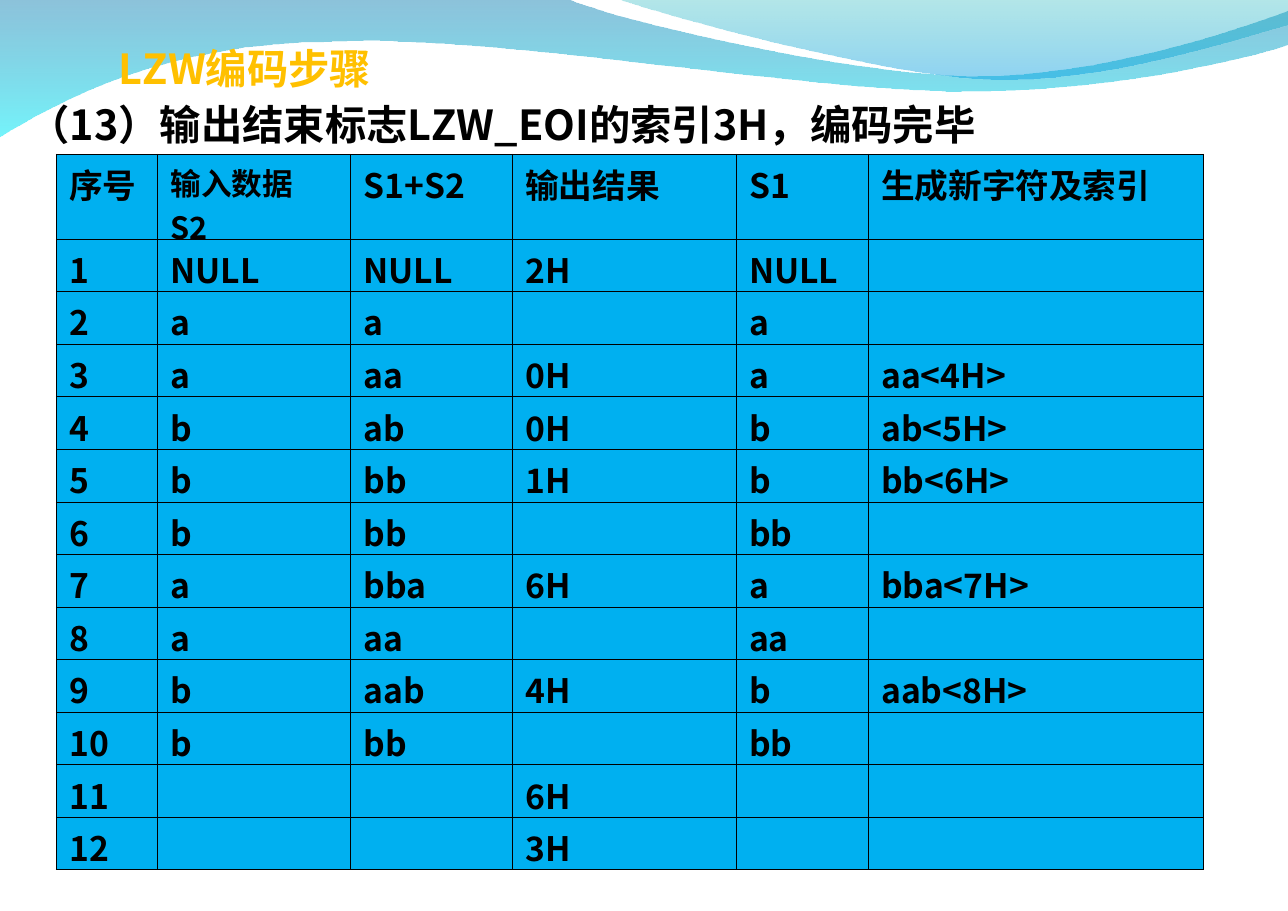
"""Build the slide showing the last LZW encoding step and its table."""
from lxml import etree
from pptx import Presentation
from pptx import util as u
from pptx.dml.color import RGBColor
from pptx.enum import text
from pptx.oxml.ns import qn

FONT = "Noto Sans CJK SC"
BLACK = RGBColor(0x00, 0x00, 0x00)
GOLD = RGBColor(0xFF, 0xC0, 0x00)
CELL_BLUE = RGBColor(0x00, 0xB0, 0xF0)
DEEP_BLUE = RGBColor(0x00, 0x79, 0xAF)
CYAN = RGBColor(0x00, 0xEB, 0xF8)
TEAL = RGBColor(0x00, 0xAD, 0xB6)
SKY = RGBColor(0x00, 0x9B, 0xE5)


def write(holder, words, size=22, color=BLACK, insets=(0.12, 0.05, 0.12, 0.05)):
    (holder.margin_left, holder.margin_top,
     holder.margin_right, holder.margin_bottom) = map(u.Inches, insets)
    span = getattr(holder, "text_frame", holder).paragraphs[0].add_run()
    span.text = words
    span.font.size = u.Pt(size)
    span.font.bold = True
    span.font.name = FONT
    span.font.color.rgb = color
    etree.SubElement(span.font._element, qn("a:ea"), typeface=FONT)


deck = Presentation()
deck.slide_width, deck.slide_height = u.Inches(11.69), u.Inches(8.27)
page = deck.slides.add_slide(deck.slide_layouts[6])

waves = [
    ([[(0, 0)], [(5.15, -0.01)],
      [(5.56, 0.18), (7.76, 0.69), (8.87, 0.69)],
      [(9.98, 0.69), (11.21, 0.28), (11.69, 0.1)],
      [(11.71, 0.4)],
      [(11.5, 0.48), (10.17, 0.84), (8.72, 0.83)],
      [(7.27, 0.83), (4.46, 0.31), (3.01, 0.38)],
      [(1.51, 0.39), (0.54, 0.91), (-0.01, 1.25)]],
     [(DEEP_BLUE, 45), (CYAN, 55)]),
    ([[(5.6, -0.01)],
      [(5.96, 0.12), (7.98, 0.68), (8.99, 0.72)],
      [(10.01, 0.76), (11.24, 0.35), (11.69, 0.23)],
      [(11.69, 0)]],
     [(TEAL, 30), (SKY, 45)]),
]
for segments, stops in waves:
    outline = [(u.Inches(x), u.Inches(y)) for segment in segments for x, y in segment]
    builder = page.shapes.build_freeform(*outline[0])
    builder.add_line_segments(outline[1:], close=True)
    wave = builder.convert_to_shape()
    lines = iter(list(wave._element.iter(qn("a:lnTo"))))
    for segment in segments[1:]:
        pieces = [next(lines) for point in segment]
        if len(pieces) == 3:
            curve = etree.Element(qn("a:cubicBezTo"))
            pieces[0].addprevious(curve)
            for piece in pieces:
                curve.append(piece[0])
                piece.getparent().remove(piece)
    wave.shadow.inherit = False
    wave.line.fill.background()
    wave.fill.gradient()
    wave.fill.gradient_angle = 270
    for stop, (color, opacity) in zip(wave.fill.gradient_stops, stops):
        stop.color.rgb = color
    for tint, (color, opacity) in zip(wave._element.iter(qn("a:srgbClr")), stops):
        etree.SubElement(tint, qn("a:alpha"), val=str(opacity * 1000))

title = page.shapes.add_textbox(u.Inches(0.97), u.Inches(0.08), u.Inches(3.79), u.Inches(0.83))
title.text_frame.word_wrap = True
write(title.text_frame, "LZW编码步骤", size=27, color=GOLD, insets=(0.11, 0.31, 0.11, 0))

rows = [
    ["序号", "输入数据S2", "S1+S2", "输出结果", "S1", "生成新字符及索引"],
    ["1", "NULL", "NULL", "2H", "NULL", ""],
    ["2", "a", "a", "", "a", ""],
    ["3", "a", "aa", "0H", "a", "aa<4H>"],
    ["4", "b", "ab", "0H", "b", "ab<5H>"],
    ["5", "b", "bb", "1H", "b", "bb<6H>"],
    ["6", "b", "bb", "", "bb", ""],
    ["7", "a", "bba", "6H", "a", "bba<7H>"],
    ["8", "a", "aa", "", "aa", ""],
    ["9", "b", "aab", "4H", "b", "aab<8H>"],
    ["10", "b", "bb", "", "bb", ""],
    ["11", "", "", "6H", "", ""],
    ["12", "", "", "3H", "", ""],
]
widths = [0.92, 1.75, 1.47, 2.03, 1.2, 3.04]
table_height, header_height = 6.5, 0.77
step_height = (table_height - header_height) / (len(rows) - 1)
table = page.shapes.add_table(len(rows), len(widths), u.Inches(0.51), u.Inches(1.4),
                              u.Inches(sum(widths)), u.Inches(table_height)).table
for column, width in zip(table.columns, widths):
    column.width = u.Inches(width)
for index, row in enumerate(rows):
    table.rows[index].height = u.Inches(step_height if index else header_height)
    for position, words in enumerate(row):
        cell = table.cell(index, position)
        properties = cell._tc.get_or_add_tcPr()
        for side in ("lnL", "lnR", "lnT", "lnB"):
            border = etree.SubElement(properties, qn(f"a:{side}"), w=str(u.Pt(0.45)))
            ink = etree.SubElement(border, qn("a:solidFill"))
            etree.SubElement(ink, qn("a:srgbClr"), val=str(BLACK))
        cell.fill.solid()
        cell.fill.fore_color.rgb = CELL_BLUE
        if words == "输入数据S2":
            write(cell, words, size=20, insets=(0.12, 0.05, 0.2, 0.05))
        elif words:
            write(cell, words)

step = page.shapes.add_textbox(u.Inches(0.15), u.Inches(0.85), u.Inches(9.44), u.Inches(0.56))
step.text_frame.word_wrap = False
step.text_frame.vertical_anchor = text.MSO_ANCHOR.MIDDLE
write(step.text_frame, "（13）输出结束标志LZW_EOI的索引3H，编码完毕", size=27,
      insets=(0.11, 0.06, 0.11, 0.06))

deck.save("out.pptx")
